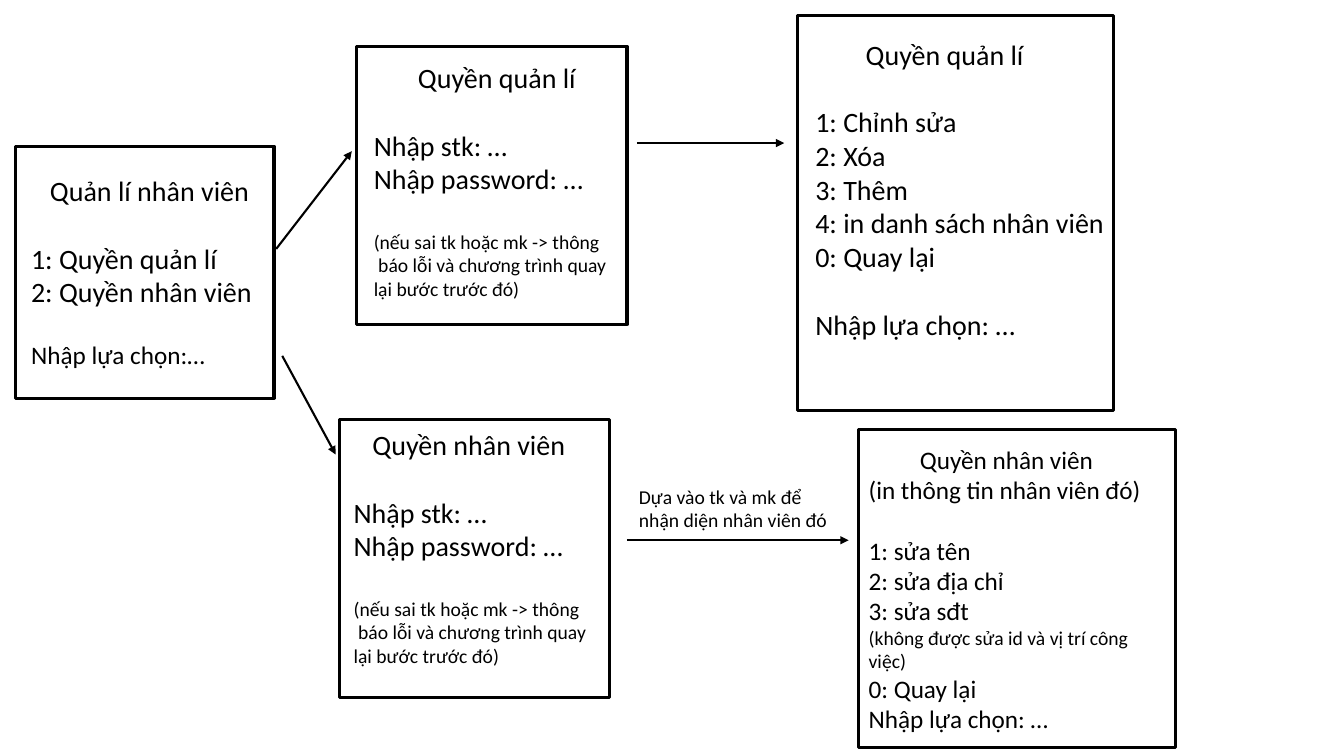
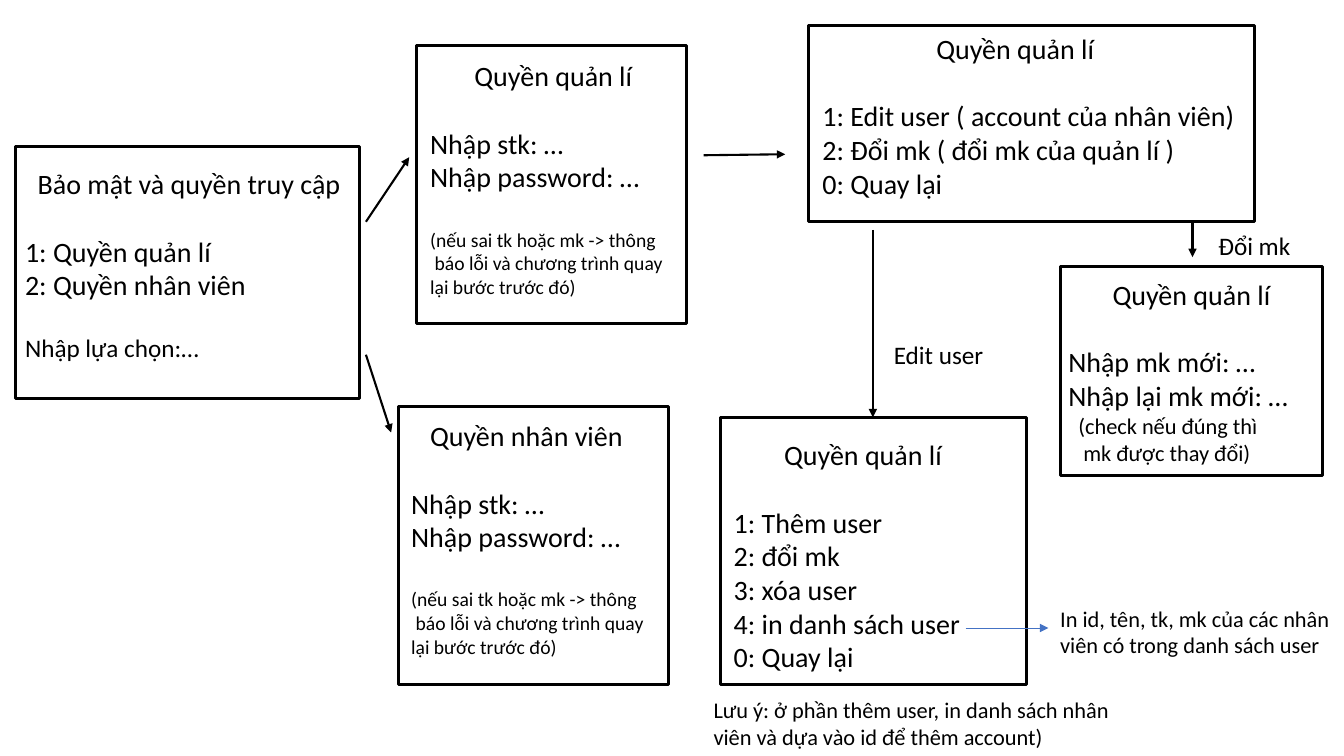
from lxml import etree
from pptx import Presentation
from pptx.dml.color import RGBColor
from pptx.enum.shapes import MSO_CONNECTOR, MSO_SHAPE
from pptx.enum.text import MSO_ANCHOR, PP_ALIGN
from pptx.oxml.ns import qn
from pptx.util import Pt

RECT, LINE = MSO_SHAPE.RECTANGLE, MSO_CONNECTOR.STRAIGHT
LEFT, TOP, MIDDLE = PP_ALIGN.LEFT, MSO_ANCHOR.TOP, MSO_ANCHOR.MIDDLE
BLACK = RGBColor(0, 0, 0)
WHITE = RGBColor(255, 255, 255)
BLUE = RGBColor(0x44, 0x72, 0xC4)
FONT = "Calibri"
INSET = 7.2
GAP = 24.4      # one blank line at 20 pt
SMALL_GAP = 22  # one blank line at 18 pt

# Text rows: (text, size, indent, space before)


def rows(size, *texts, gap=0):
    """Make plain rows of one size, with a gap above the first."""
    return [(text, size, 0, 0 if i else gap) for i, text in enumerate(texts)]


def head(text, indent, size=20):
    """Make an indented heading row."""
    return [(text, size, indent, 0)]


LOGIN = rows(20, "Nhập stk: …", "Nhập password: …", gap=GAP) + [
    ("(nếu sai tk hoặc mk -> thông", 14, 0, GAP),
    ("báo lỗi và chương trình quay", 14, 3.2, 0),
    ("lại bước trước đó)", 14, 0, 0),
]
BOSS = head("Quyền quản lí", 31.6) + LOGIN
STAFF = head("Quyền nhân viên", 13.5) + LOGIN
ROLES = (rows(20, "1: Quyền quản lí", "2: Quyền nhân viên", gap=GAP)
         + rows(18, "Nhập lựa chọn:…", gap=SMALL_GAP))
MENU = (head("Quyền quản lí", 36)
        + rows(20, "1: Chỉnh sửa", "2: Xóa", "3: Thêm",
               "4: in danh sách nhân viên", "0: Quay lại", gap=GAP)
        + rows(20, "Nhập lựa chọn: …", gap=GAP))
INFO = (head("Quyền nhân viên", 36.6, 18)
        + rows(18, "(in thông tin nhân viên đó)")
        + rows(18, "1: sửa tên", "2: sửa địa chỉ", "3: sửa sđt", gap=SMALL_GAP)
        + rows(14, "(không được sửa id và vị trí công việc)")
        + rows(18, "0: Quay lại", "Nhập lựa chọn: …"))
ACCESS = (head("Quyền quản lí", 81.4)
          + rows(20, "1: Edit user ( account của nhân viên)",
                 "2: Đổi mk ( đổi mk của quản lí )", "0: Quay lại", gap=GAP))
USERS = (head("Quyền quản lí", 36)
         + rows(20, "1: Thêm user", "2: đổi mk", "3: xóa user",
                "4: in danh sách user", "0: Quay lại", gap=GAP))
CHANGE = (head("Quyền quản lí", 31.6)
          + rows(20, "Nhập mk mới: …", "Nhập lại mk mới: …", gap=GAP)
          + [("(check nếu đúng thì", 16, 7.2, 0),
             ("mk được thay đổi)", 16, 10.8, 0)])

LOGIN_BOX, LOGIN_TEXT = (193, 198.7), (187.2, 225.4)

# Boxes: (left, top, width, height); labels: (area, rows);
# arrows: (start x, start y, end x, end y, colour, width)
SLIDES = [
    {
        "boxes": [
            (569.5, 10.8, 226, 282.2),
            (10.8, 104.4, 185, 180),
            (254.9, 33.1, *LOGIN_BOX),
            (242.6, 299.5, *LOGIN_BOX),
        ],
        "filled": [((613.4, 306.7, 226, 227.5), INFO)],
        "labels": [
            ((575.3, 23, 222.5, 247), MENU),
            ((15.1, 120.2, 176.4, 147.6),
             head("Quản lí nhân viên", 13.5) + ROLES),
            ((259.9, 39.6, *LOGIN_TEXT), BOSS),
            ((245.5, 301.7, *LOGIN_TEXT), STAFF),
            ((449.3, 342.7, 150.5, 41),
             rows(14, "Dựa vào tk và mk để", "nhận diện nhân viên đó")),
        ],
        "arrows": [
            (197.3, 177.8, 251.3, 108, BLACK, 1.5),
            (455, 102.2, 560.2, 102.2, BLACK, 1.5),
            (201.6, 254.2, 239.8, 324.7, BLACK, 1.5),
            (447.8, 385.9, 606.2, 385.9, BLACK, 1.5),
        ],
    },
    {
        "boxes": [
            (10.8, 104.4, 246.2, 180),
            (297.4, 32.4, *LOGIN_BOX),
            (284.4, 290.2, *LOGIN_BOX),
            (577.4, 18, 319, 140.4),
            (514.8, 298.1, 218.2, 190.8),
            (757.4, 190.1, 187.2, 149.8),
        ],
        "filled": [],
        "labels": [
            ((10.8, 115.2, 246.2, 147.6),
             head("Bảo mật và quyền truy cập", 9) + ROLES),
            ((300.2, 38.2, *LOGIN_TEXT), BOSS),
            ((286.6, 295.2, *LOGIN_TEXT), STAFF),
            ((580.3, 18.7, 316.1, 198.7), ACCESS),
            ((517, 308.9, 177.8, 198.7), USERS),
            ((756, 194.4, 172.8, 164.9), CHANGE),
            ((631.4, 239, 79.2, 28.8), rows(18, "Edit user")),
            ((859, 161.3, 70.6, 28.8), head("Đổi mk", 4.1, 18)),
            ((502.6, 493.9, 457, 46.1),
             rows(16, "Lưu ý: ở phần thêm user, in danh sách nhân",
                  "viên và dựa vào id để thêm account)")),
            ((750.2, 428.4, 209, 46.1),
             rows(16, "In id, tên, tk, mk của các nhân",
                  "viên có trong danh sách user")),
        ],
        "arrows": [
            (261.4, 158.4, 292.3, 112.3, BLACK, 1.5),
            (261.4, 253.4, 279.4, 308.9, BLACK, 1.5),
            (502.6, 110.9, 560.9, 110.2, BLACK, 1.5),
            (623.5, 164.2, 623.5, 298.1, BLACK, 1.5),
            (851.8, 158.4, 851.8, 183.6, BLACK, 1.5),
            (689.8, 448.6, 748.8, 448.6, BLUE, 0.5),
        ],
    },
]


def apply(target, values):
    """Set each attribute named in a dict."""
    for name, value in values.items():
        setattr(target, name, value)


def write(frame, lines, anchor, right):
    """Write rows into a text frame."""
    apply(frame, {"word_wrap": True, "vertical_anchor": anchor,
                  "margin_left": Pt(INSET), "margin_right": Pt(right)})
    for i, (text, size, indent, gap) in enumerate(lines):
        para = frame.add_paragraph() if i else frame.paragraphs[0]
        apply(para, {"alignment": LEFT, "space_before": Pt(gap)})
        if indent:
            para._p.get_or_add_pPr().set("marL", str(Pt(indent)))
        run = para.add_run()
        run.text = text
        apply(run.font, {"name": FONT, "size": Pt(size)})
        run.font.color.rgb = BLACK


def add_box(slide, area):
    """Draw a white box with a black outline."""
    box = slide.shapes.add_shape(RECT, *map(Pt, area))
    box.shadow.inherit = False
    box.fill.solid()
    box.fill.fore_color.rgb = WHITE
    box.line.color.rgb = BLACK
    box.line.width = Pt(2.25)
    return box


def add_arrow(slide, ends, color, width):
    """Draw a straight arrow without a shadow."""
    arrow = slide.shapes.add_connector(LINE, *map(Pt, ends))
    arrow.line.color.rgb = color
    arrow.line.width = Pt(width)
    etree.SubElement(arrow.line._get_or_add_ln(), qn("a:tailEnd"),
                     type="triangle")
    etree.SubElement(arrow._element.spPr, qn("a:effectLst"))


def build(deck, parts):
    """Build one flow slide from its parts."""
    slide = deck.slides.add_slide(deck.slide_layouts[6])
    for area in parts["boxes"]:
        add_box(slide, area)
    for area, lines in parts["filled"]:
        write(add_box(slide, area).text_frame, lines, MIDDLE, INSET)
    for area, lines in parts["labels"]:
        label = slide.shapes.add_textbox(*map(Pt, area))
        write(label.text_frame, lines, TOP, 0)
    for *ends, color, width in parts["arrows"]:
        add_arrow(slide, ends, color, width)


deck = Presentation()
apply(deck, {"slide_width": Pt(960), "slide_height": Pt(540)})
for parts in SLIDES:
    build(deck, parts)
deck.save("out.pptx")
